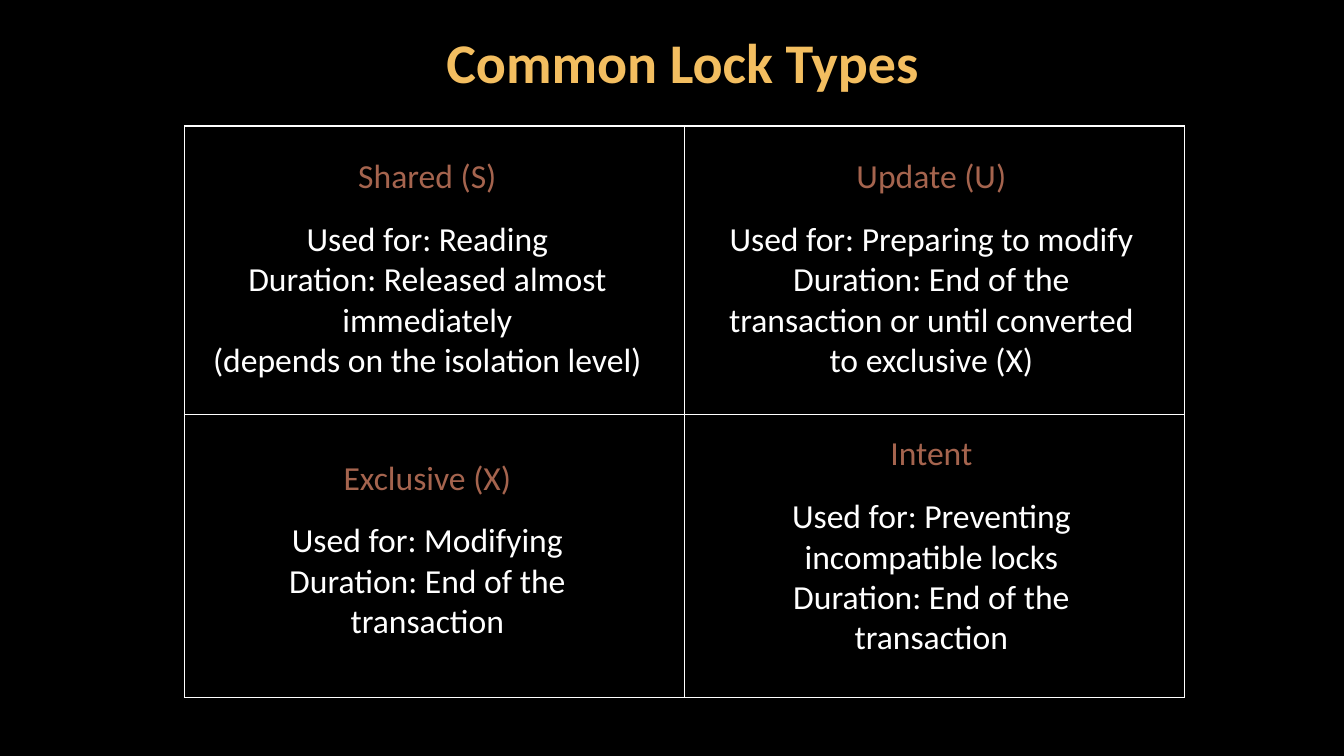
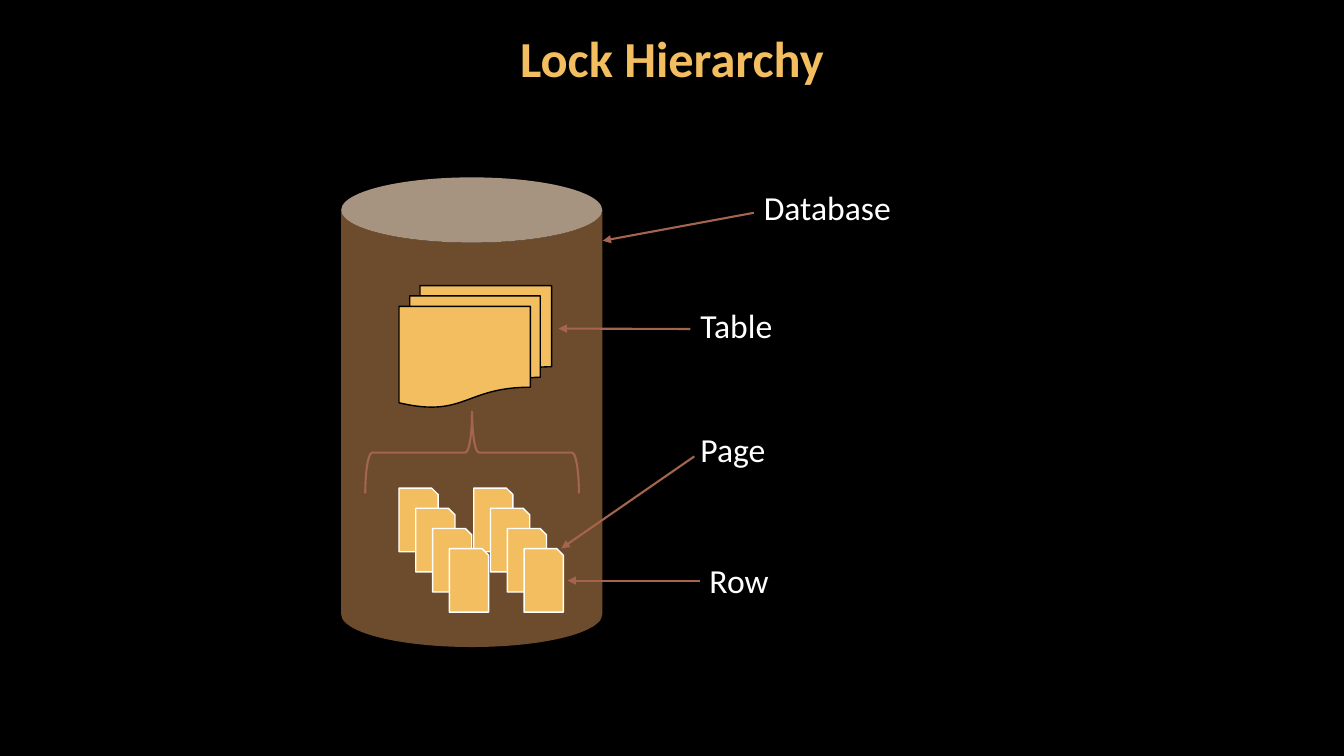
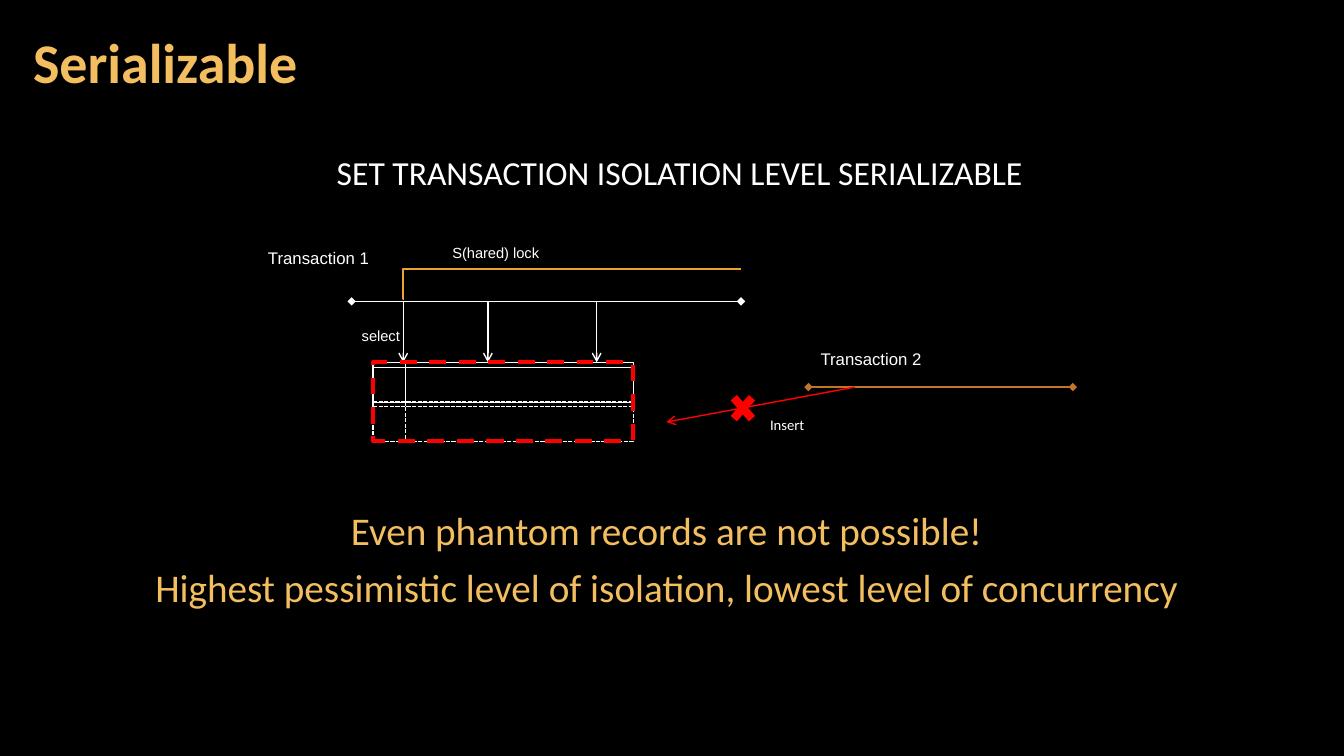
from dataclasses import dataclass
from typing import NamedTuple, Optional

from lxml import etree
from pptx import Presentation
from pptx.dml.color import RGBColor
from pptx.enum.dml import MSO_LINE
from pptx.enum.shapes import MSO_CONNECTOR, MSO_SHAPE
from pptx.enum.text import MSO_ANCHOR, PP_ALIGN
from pptx.oxml.ns import qn
from pptx.util import Pt

LEFT, CENTER = PP_ALIGN.LEFT, PP_ALIGN.CENTER
TOP, MIDDLE = MSO_ANCHOR.TOP, MSO_ANCHOR.MIDDLE
STRAIGHT, ELBOW = MSO_CONNECTOR.STRAIGHT, MSO_CONNECTOR.ELBOW
DASH, FINE = MSO_LINE.DASH, MSO_LINE.SQUARE_DOT
CAN, BRACE = MSO_SHAPE.CAN, MSO_SHAPE.LEFT_BRACE
SHEETS, PAGE = MSO_SHAPE.FLOWCHART_MULTIDOCUMENT, MSO_SHAPE.SNIP_1_RECTANGLE
GRID, CROSS = MSO_SHAPE.FLOWCHART_INTERNAL_STORAGE, MSO_SHAPE.MATH_MULTIPLY
RECT = MSO_SHAPE.RECTANGLE


@dataclass(frozen=True)
class Theme:
    back: str = "000000"
    white: str = "FFFFFF"
    gold: str = "F3BE60"
    rust: str = "A5644E"
    brown: str = "6C4C2C"
    amber: str = "F0A22E"
    copper: str = "C17529"
    red: str = "FF0000"
    sans: str = "Calibri"
    plain: str = "Arial"
    title: float = 40
    large: float = 28
    body: float = 24
    small: float = 12
    tiny: float = 10.5


T = Theme()


class Box(NamedTuple):
    x: float
    y: float
    w: float
    h: float


class Spot(NamedTuple):
    x: float
    y: float


@dataclass(frozen=True)
class Style:
    size: float = T.body
    color: str = T.white
    font: str = T.sans
    bold: bool = False
    align: PP_ALIGN = LEFT
    lead: Optional[float] = None
    gap: float = 0


class Lock(NamedTuple):
    name: str
    lines: list[str]
    box: Box


class Part(NamedTuple):
    """A label and its arrow; without a start the arrow is joined to the label."""
    name: str
    box: Box
    start: Optional[Spot]
    end: Spot


class Note(NamedTuple):
    words: str
    box: Box
    size: float
    font: str


HEAD = Style(color=T.rust, align=CENTER)
BODY = Style(align=CENTER)
CLAIM = Style(T.large, T.gold, align=CENTER, lead=0.9, gap=10)

LOCKS = [
    Lock("Shared (S)",
         ["Used for: Reading", "Duration: Released almost immediately",
          "(depends on the isolation level)"], Box(144, 107.3, 322.5, 198)),
    Lock("Update (U)",
         ["Used for: Preparing to modify",
          "Duration: End of the transaction or until converted to exclusive (X)"],
         Box(504, 107.3, 322.5, 169)),
    Lock("Exclusive (X)",
         ["Used for: Modifying", "Duration: End of the transaction"],
         Box(144, 322.5, 322.5, 140)),
    Lock("Intent",
         ["Used for: Preventing incompatible locks",
          "Duration: End of the transaction"], Box(503.3, 305.3, 324, 198)),
]

PARTS = [
    Part("Database", Box(538.5, 130.3, 148, 36), Spot(538.5, 152), Spot(430.5, 172)),
    Part("Table", Box(493.2, 214.6, 148, 36), Spot(493.2, 235), Spot(399, 234.7)),
    Part("Page", Box(493.2, 303, 148, 36), Spot(496, 326), Spot(401, 391.7)),
    Part("Row", Box(499.7, 396.7, 148, 36), None, Spot(405.4, 414.7)),
]

NOTES = [
    Note("Transaction 1", Box(184.3, 173.5, 93, 21.6), T.small, T.plain),
    Note("Transaction 2", Box(579, 245.5, 93, 21.6), T.small, T.plain),
    Note("S(hared) lock", Box(316, 170.6, 93, 20), T.tiny, T.plain),
    Note("select", Box(251.3, 229.7, 46, 20), T.tiny, T.plain),
    Note("Insert", Box(543, 293.8, 52.5, 20), T.tiny, T.sans),
]


def rgb(code: str) -> RGBColor:
    return RGBColor.from_string(code)


def pts(*nums: float) -> list[Pt]:
    return [Pt(num) for num in nums]


def text(slide, box: Box, rows: list[tuple[str, Style]],
         pad: tuple[float, float, float] = (7.2, 3.6, 7.2), anchor=TOP):
    """Write one paragraph per row; pad is left, top and bottom, right."""
    shape = slide.shapes.add_textbox(*pts(*box))
    frame = shape.text_frame
    frame.word_wrap = True
    frame.vertical_anchor = anchor
    frame.margin_left, frame.margin_top, frame.margin_right = pts(*pad)
    frame.margin_bottom = frame.margin_top
    for num, (words, style) in enumerate(rows):
        para = frame.add_paragraph() if num else frame.paragraphs[0]
        para.text = words
        para.alignment = style.align
        if style.lead:
            para.line_spacing = style.lead
        if num and style.gap:
            para.space_before = Pt(style.gap)
        font = para.font
        font.name, font.size, font.bold = style.font, Pt(style.size), style.bold
        font.color.rgb = rgb(style.color)
    return shape


def title(slide, words: str, box: Box, size: float = T.title, align=CENTER) -> None:
    style = Style(size, T.gold, bold=True, align=align, lead=0.9)
    text(slide, box, [(words, style)], (8.6, 3, 8.6), MIDDLE)


def draw(slide, kind, box: Box, fill: Optional[str] = None,
         line: Optional[str] = None, width: float = 1, dash=None):
    shape = slide.shapes.add_shape(kind, *pts(*box))
    shape.shadow.inherit = False
    if fill:
        shape.fill.solid()
        shape.fill.fore_color.rgb = rgb(fill)
    else:
        shape.fill.background()
    if line:
        shape.line.color.rgb = rgb(line)
        shape.line.width = Pt(width)
        if dash:
            shape.line.dash_style = dash
    else:
        shape.line.fill.background()
    return shape


def link(slide, start: Spot, end: Spot, color: str, width: float = 1,
         head: str = "", tail: str = "", kind=STRAIGHT):
    wire = slide.shapes.add_connector(kind, *pts(*start, *end))
    wire.line.color.rgb = rgb(color)
    wire.line.width = Pt(width)
    props = wire._element.spPr
    for tag, tip in (("a:headEnd", head), ("a:tailEnd", tail)):
        if tip:
            etree.SubElement(props.get_or_add_ln(), qn(tag), type=tip)
    etree.SubElement(props, qn("a:effectLst"))
    return wire


def edge(cell, color: str, width: float) -> None:
    """Give a table cell four solid borders and no fill."""
    props = cell._tc.get_or_add_tcPr()
    for side in ("L", "R", "T", "B"):
        line = etree.SubElement(props, qn(f"a:ln{side}"), w=str(Pt(width)))
        fill = etree.SubElement(line, qn("a:solidFill"))
        etree.SubElement(fill, qn("a:srgbClr"), val=color)
    cell.fill.background()


def types(slide) -> None:
    table = slide.shapes.add_table(2, 2, *pts(132, 90, 714, 408)).table
    table.first_row = table.horz_banding = False
    for row, high in zip(table.rows, (206, 202)):
        row.height = Pt(high)
        for cell in row.cells:
            edge(cell, T.white, 1)
    for lock in LOCKS:
        rows = [(lock.name, HEAD)]
        for num, line in enumerate(lock.lines):
            rows.append((line, BODY if num else Style(align=CENTER, gap=16)))
        text(slide, lock.box, rows)
    title(slide, "Common Lock Types", Box(15, 3, 945, 87))


def levels(slide) -> None:
    title(slide, "Lock Hierarchy", Box(0.5, 0.5, 959, 87), 36)
    draw(slide, CAN, Box(243.7, 126.7, 186.5, 335.5), T.brown)
    draw(slide, SHEETS, Box(285, 204, 109, 87), T.gold, T.back)
    for row in range(4):
        for col in range(2):
            spot = Box(285 + 53.4 * col + 12 * row, 348.7 + 14.4 * row, 28, 45.4)
            draw(slide, PAGE, spot, T.gold, T.white)
    brace = draw(slide, BRACE, Box(308, 247, 58.4, 152.6), None, T.rust, 1.5)
    brace.rotation = 90
    for part in PARTS:
        label = text(slide, part.box, [(part.name, Style())])
        start = part.start or Spot(part.box.x, part.box.y + part.box.h / 2)
        wire = link(slide, start, part.end, T.rust, 1.5, tail="triangle")
        if not part.start:
            wire.begin_connect(label, 1)


def serial(slide) -> None:
    title(slide, "Serializable", Box(15, 3, 754, 87), align=LEFT)
    axis, top = 215.3, 258.8
    link(slide, Spot(251.2, axis), Spot(529.3, axis), T.white, 1, "diamond", "diamond")
    for x in (288, 348.5, 426.2):
        link(slide, Spot(x, axis), Spot(x, top), T.white, tail="arrow")
    hold = link(slide, Spot(288, 213.3), Spot(529.3, 192.2), T.amber, 1.5, kind=ELBOW)
    bends = hold._element.spPr.find(qn("a:prstGeom")).get_or_add_avLst()
    etree.SubElement(bends, qn("a:gd"), name="adj1", fmla="val -100")
    for y, dash in ((top, None), (286.8, FINE)):
        draw(slide, GRID, Box(266.5, y, 185.8, 28.6), None, T.white, 1, dash)
    link(slide, Spot(577.5, 276.5), Spot(766.3, 276.5), T.copper, 1, "diamond", "diamond")
    link(slide, Spot(610.6, 276.5), Spot(476, 301.5), T.red, tail="arrow")
    draw(slide, CROSS, Box(518.2, 277.2, 25, 28.8), T.red)
    draw(slide, RECT, Box(266.5, top, 185.8, 56.2), None, T.red, 3, DASH)
    for note in NOTES:
        text(slide, note.box, [(note.words, Style(note.size, font=note.font))])
    text(slide, Box(119.5, 102.2, 720, 162.7),
         [("SET TRANSACTION ISOLATION LEVEL SERIALIZABLE",
           Style(align=CENTER, lead=1.1))], (12, 3.6, 0))
    text(slide, Box(65.5, 362.2, 816, 147),
         [("Even phantom records are not possible!", CLAIM),
          ("Highest pessimistic level of isolation, lowest level of concurrency", CLAIM)],
         (5, 3.6, 0))


def main() -> None:
    deck = Presentation()
    deck.slide_width, deck.slide_height = pts(960, 540)
    back = deck.slide_master.background.fill
    back.solid()
    back.fore_color.rgb = rgb(T.back)
    for build in (types, levels, serial):
        build(deck.slides.add_slide(deck.slide_layouts[6]))
    deck.save("out.pptx")


if __name__ == "__main__":
    main()
